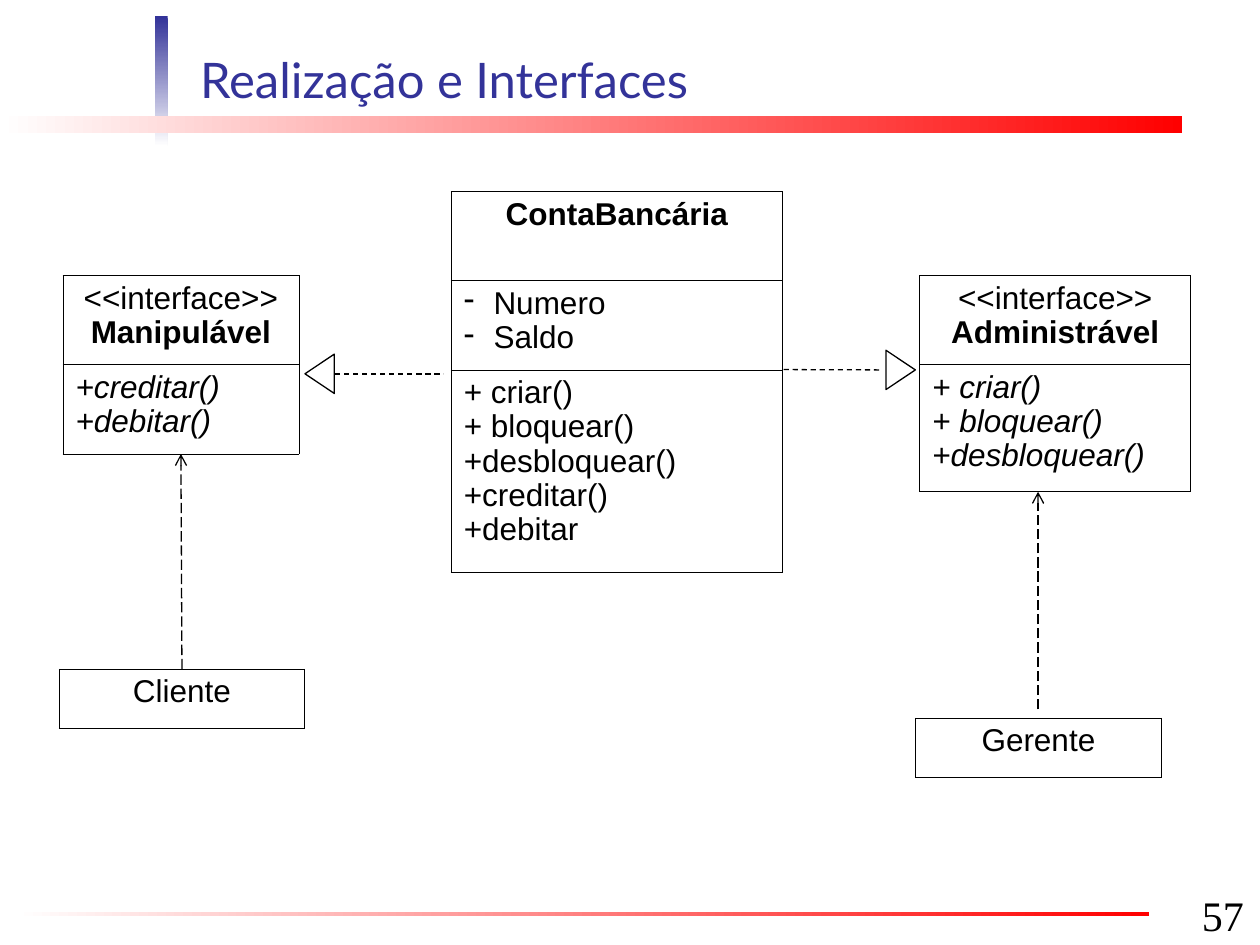
from dataclasses import dataclass

from lxml import etree
from pptx import Presentation
from pptx.dml.color import RGBColor
from pptx.enum.dml import MSO_LINE
from pptx.enum.shapes import MSO_CONNECTOR, MSO_SHAPE
from pptx.enum.text import MSO_ANCHOR, PP_ALIGN
from pptx.oxml.ns import qn
from pptx.shapes.connector import Connector
from pptx.shapes.graphfrm import GraphicFrame
from pptx.slide import Slide
from pptx.util import Pt

BLACK = RGBColor(0x00, 0x00, 0x00)
WHITE = RGBColor(0xFF, 0xFF, 0xFF)
RED = RGBColor(0xFF, 0x00, 0x00)
BLUE = RGBColor(0x33, 0x33, 0x99)
RECTANGLE = MSO_SHAPE.RECTANGLE
TRIANGLE = MSO_SHAPE.ISOSCELES_TRIANGLE
STRAIGHT = MSO_CONNECTOR.STRAIGHT
DASH = MSO_LINE.DASH
LONG_DASH = MSO_LINE.LONG_DASH
CENTER = PP_ALIGN.CENTER
LEFT = PP_ALIGN.LEFT
BOTTOM = MSO_ANCHOR.BOTTOM
TOP_SIDE, BOTTOM_SIDE = 0, 2
BORDER = 0.45
LINE_WIDTH = 0.75
BULLET_INDENT = 17
HEADER_HEIGHT = 51
ROLE_SIZE = (140.4, 33.8)

PLAIN = {"name": "Arial", "size": Pt(18), "bold": False, "italic": False}
BOLD = PLAIN | {"bold": True}
ITALIC = PLAIN | {"italic": True}
TITLE = {"name": "Lato", "size": Pt(28)}
PAGE_NUMBER = {"name": "Times New Roman", "size": Pt(24)}


@dataclass(frozen=True)
class Entry:
    text: str
    style: dict
    align: PP_ALIGN = LEFT
    bullet: bool = False


@dataclass(frozen=True)
class Compartment:
    height: float
    entries: list[Entry]


@dataclass(frozen=True)
class ClassBox:
    left: float
    top: float
    width: float
    compartments: list[Compartment]


@dataclass(frozen=True)
class Bar:
    left: float
    top: float
    width: float
    height: float
    colors: tuple[RGBColor, RGBColor]
    angle: int


@dataclass(frozen=True)
class Label:
    left: float
    top: float
    width: float
    height: float
    text: str
    style: dict
    color: RGBColor


def members(*names: str, style: dict = PLAIN, bullet: bool = False) -> list[Entry]:
    return [Entry(name, style, bullet=bullet) for name in names]


def interface_header(name: str) -> Compartment:
    entries = [Entry("<<interface>>", PLAIN, CENTER), Entry(name, BOLD, CENTER)]
    return Compartment(HEADER_HEIGHT, entries)


def role_box(left: float, top: float, name: str) -> ClassBox:
    width, height = ROLE_SIZE
    return ClassBox(left, top, width, [Compartment(height, [Entry(name, PLAIN, CENTER)])])


BARS = [
    Bar(88.6, 9.4, 7.2, 74.2, (BLUE, WHITE), 270),
    Bar(0, 66.2, 675.4, 10.1, (WHITE, RED), 0),
    Bar(8.6, 521.3, 648, 2.2, (WHITE, RED), 0),
]
LABELS = [
    Label(679.7, 504.7, 59.8, 36, "57", PAGE_NUMBER, BLACK),
    Label(107.3, 16.6, 578.9, 49, "Realização e Interfaces", TITLE, BLUE),
]
ACCOUNT = ClassBox(257.8, 109.4, 189.4, [
    Compartment(HEADER_HEIGHT, [Entry("ContaBancária", BOLD, CENTER)]),
    Compartment(HEADER_HEIGHT, members("Numero", "Saldo", bullet=True)),
    Compartment(115.4, members("+ criar()", "+ bloquear()", "+desbloquear()", "+creditar()", "+debitar")),
])
MANIPULABLE = ClassBox(36, 157.4, 134.8, [
    interface_header("Manipulável"),
    Compartment(HEADER_HEIGHT, members("+creditar()", "+debitar()", style=ITALIC)),
])
MANAGEABLE = ClassBox(525.5, 157.4, 155, [
    interface_header("Administrável"),
    Compartment(72.5, members("+ criar()", "+ bloquear()", "+desbloquear()", style=ITALIC)),
])
CLIENT = role_box(33.8, 382.4, "Cliente")
MANAGER = role_box(523.2, 410.4, "Gerente")


def apply_font(font, style: dict, color: RGBColor) -> None:
    for key, value in style.items():
        setattr(font, key, value)
    font.color.rgb = color


def add_bar(slide: Slide, bar: Bar) -> None:
    shape = slide.shapes.add_shape(RECTANGLE, Pt(bar.left), Pt(bar.top), Pt(bar.width), Pt(bar.height))
    shape.shadow.inherit = False
    shape.line.fill.background()
    shape.fill.gradient()
    shape.fill.gradient_angle = bar.angle
    for stop, color, position in zip(shape.fill.gradient_stops, bar.colors, (0, 1)):
        stop.color.rgb = color
        stop.position = position


def add_label(slide: Slide, label: Label) -> None:
    box = slide.shapes.add_textbox(Pt(label.left), Pt(label.top), Pt(label.width), Pt(label.height))
    frame = box.text_frame
    frame.word_wrap = True
    frame.vertical_anchor = BOTTOM
    para = frame.paragraphs[0]
    span = para.add_run()
    span.text = label.text
    apply_font(span.font, label.style, label.color)


def add_border(cell) -> None:
    properties = cell._tc.get_or_add_tcPr()
    for index, side in enumerate(("a:lnL", "a:lnR", "a:lnT", "a:lnB")):
        line = etree.Element(qn(side), w=str(Pt(BORDER)))
        fill = etree.SubElement(line, qn("a:solidFill"))
        etree.SubElement(fill, qn("a:srgbClr"), val=str(BLACK))
        properties.insert(index, line)


def add_bullet(para) -> None:
    properties = para._p.get_or_add_pPr()
    properties.set("marL", str(Pt(BULLET_INDENT)))
    properties.set("indent", str(-Pt(BULLET_INDENT)))
    etree.SubElement(properties, qn("a:buChar"), char="-")


def add_class_box(slide: Slide, item: ClassBox) -> GraphicFrame:
    height = sum(part.height for part in item.compartments)
    frame = slide.shapes.add_table(
        len(item.compartments), 1, Pt(item.left), Pt(item.top), Pt(item.width), Pt(height))
    table = frame.table
    table.first_row = table.horz_banding = False
    for row, part in zip(table.rows, item.compartments):
        row.height = Pt(part.height)
        cell = row.cells[0]
        cell.fill.background()
        add_border(cell)
        for index, entry in enumerate(part.entries):
            text = cell.text_frame
            para = text.add_paragraph() if index else text.paragraphs[0]
            para.alignment = entry.align
            para.line_spacing = 0.97
            if entry.bullet:
                add_bullet(para)
            span = para.add_run()
            span.text = entry.text
            apply_font(span.font, entry.style, BLACK)
    return frame


def add_line(slide: Slide, start: tuple, end: tuple, dash: MSO_LINE, arrow: bool = False) -> Connector:
    line = slide.shapes.add_connector(STRAIGHT, *map(Pt, start + end))
    line.line.color.rgb = BLACK
    line.line.width = Pt(LINE_WIDTH)
    line.line.dash_style = dash
    if arrow:
        etree.SubElement(line.line._get_or_add_ln(), qn("a:tailEnd"), type="arrow")
    etree.SubElement(line._element.spPr, qn("a:effectLst"))
    return line


def add_triangle(slide: Slide, left: float, top: float, rotation: int) -> None:
    shape = slide.shapes.add_shape(TRIANGLE, Pt(left), Pt(top), Pt(22.5), Pt(16.8))
    shape.rotation = rotation
    shape.shadow.inherit = False
    shape.fill.background()
    shape.line.color.rgb = BLACK
    shape.line.width = Pt(LINE_WIDTH)


def main() -> None:
    deck = Presentation()
    deck.slide_width, deck.slide_height = Pt(720), Pt(540)
    slide = deck.slides.add_slide(deck.slide_layouts[6])
    for bar in BARS:
        add_bar(slide, bar)
    for label in LABELS:
        add_label(slide, label)
    add_class_box(slide, ACCOUNT)
    manipulable = add_class_box(slide, MANIPULABLE)
    client = add_class_box(slide, CLIENT)
    usage = add_line(slide, (103.7, 382.4), (103.7, 259.4), LONG_DASH, arrow=True)
    usage.begin_connect(client, TOP_SIDE)
    usage.end_connect(manipulable, BOTTOM_SIDE)
    add_class_box(slide, MANAGEABLE)
    add_class_box(slide, MANAGER)
    add_line(slide, (593.2, 405.4), (593.2, 281), LONG_DASH, arrow=True)
    add_triangle(slide, 171.4, 205.2, 270)
    add_line(slide, (191.5, 213.8), (253.4, 213.8), DASH)
    add_triangle(slide, 503.4, 203, 90)
    add_line(slide, (447.8, 211.2), (504, 211.4), DASH)
    deck.save("out.pptx")


if __name__ == "__main__":
    main()
